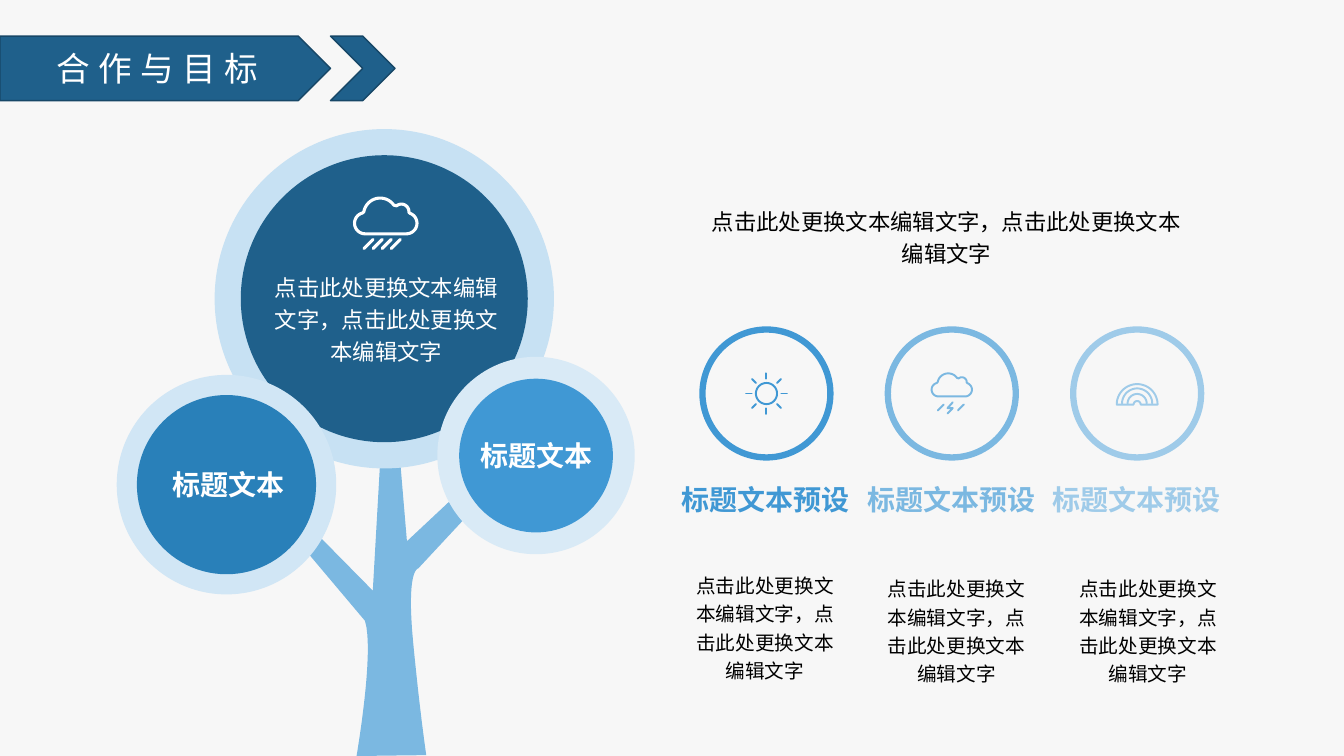
from math import cos, radians, sin

from pptx import Presentation
from pptx import util as u
from pptx.dml.color import RGBColor
from pptx.enum import shapes, text
from pptx.oxml.ns import qn

FONT = "Noto Sans CJK SC"
BACKGROUND = RGBColor(0xF7, 0xF7, 0xF7)
WHITE = RGBColor(0xFF, 0xFF, 0xFF)
BLACK = RGBColor(0, 0, 0)
NAVY = RGBColor(0x1F, 0x60, 0x8B)
NAVY_EDGE = RGBColor(0x17, 0x47, 0x67)
BLUE = RGBColor(0x29, 0x80, 0xB9)
AZURE = RGBColor(0x40, 0x98, 0xD4)
SKY = RGBColor(0x7B, 0xB8, 0xE1)
PALE_SKY = RGBColor(0x9F, 0xCB, 0xE9)
CROWN_RIM = RGBColor(0xC7, 0xE1, 0xF3)
LEFT_RIM = RGBColor(0xD1, 0xE6, 0xF5)
RIGHT_RIM = RGBColor(0xD9, 0xEA, 0xF6)
BODY = "点击此处更换文本编辑文字，点击此处更换文本编辑文字"


def paint(sp, fill=None, line=None, width=1):
    """Set the fill and outline of a shape and drop its shadow."""
    sp.shadow.inherit = False
    if fill is None:
        sp.fill.background()
    else:
        sp.fill.solid()
        sp.fill.fore_color.rgb = fill
    if line is None:
        sp.line.fill.background()
    else:
        sp.line.color.rgb = line
        sp.line.width = u.Pt(width)


def preset(s, kind, box, **look):
    """Add a painted preset shape in a box given in points."""
    sp = s.shapes.add_shape(kind, *(u.Pt(v) for v in box))
    paint(sp, **look)
    return sp


def write(sp, words, size=16, color=BLACK, bold=False, spacing=1.0, tracking=0, middle=True):
    """Fill a shape with one centred, formatted paragraph."""
    tf = sp.text_frame
    tf.word_wrap = True
    tf.auto_size = text.MSO_AUTO_SIZE.NONE
    tf.margin_left = tf.margin_right = tf.margin_top = tf.margin_bottom = 0
    tf.vertical_anchor = text.MSO_ANCHOR.MIDDLE if middle else text.MSO_ANCHOR.TOP
    p = tf.paragraphs[0]
    p.alignment = text.PP_ALIGN.CENTER
    p.line_spacing = spacing
    r = p.add_run()
    r.text = words
    r.font.size, r.font.bold, r.font.name = u.Pt(size), bold, FONT
    r.font.color.rgb = color
    props = r.font._element
    latin = props.find(qn("a:latin"))
    ea = latin.makeelement(qn("a:ea"), {"typeface": FONT})
    latin.addnext(ea)
    if tracking:
        props.set("spc", str(tracking * 100))


def label(s, box, words, **style):
    """Add a text box in a box given in points."""
    write(s.shapes.add_textbox(*(u.Pt(v) for v in box)), words, **style)


def outline(s, origin, contours, scale=1, **look):
    """Draw one freeform from contours measured from an origin."""
    x, y = origin
    builder = None
    for contour in contours:
        pts = [(u.Pt(x + a * scale), u.Pt(y + b * scale)) for a, b in contour]
        if builder is None:
            builder = s.shapes.build_freeform(*pts[0])
        else:
            builder.move_to(*pts[0])
        builder.add_line_segments(pts[1:], close=contour[0] == contour[-1])
    sp = builder.convert_to_shape()
    paint(sp, **look)
    if look.get("line") is not None:
        sp.line._get_or_add_ln().set("cap", "rnd")


def arc(cx, cy, radius, start, end, steps=16):
    """Return points along a circular arc, with angles in degrees."""
    angles = [radians(start + (end - start) * i / steps) for i in range(steps + 1)]
    return [(cx + radius * cos(a), cy + radius * sin(a)) for a in angles]


def bezier(a, b, c, d, steps=16):
    """Return points along a cubic curve."""
    pts = []
    for i in range(steps + 1):
        t = i / steps
        k = (1 - t) ** 3, 3 * t * (1 - t) ** 2, 3 * t * t * (1 - t), t ** 3
        pts.append(tuple(sum(w * q[n] for w, q in zip(k, (a, b, c, d))) for n in (0, 1)))
    return pts


def cloud(s, box, strokes, color, width):
    """Draw a cloud as wide as its box, with strokes falling below it."""
    x, y, w, h = box
    lobes = (arc(12, 26.5, 10.5, 90, 255) + arc(27, 18, 16.5, 190, 325)
             + arc(48, 15, 7.5, 230, 365) + arc(53, 26.5, 10.5, -70, 90))
    outline(s, (x, y), [lobes + lobes[:1]] + strokes, scale=w / 65, line=color, width=width)


def rain_cloud(s, box, color):
    """Draw a cloud with four slanted lines of rain."""
    rain = [[(11 + 9 * i, 51.5), (20 + 9 * i, 42.5)] for i in range(4)]
    cloud(s, box, rain, color, 2.2)


def storm_cloud(s, box, color):
    """Draw a cloud with a lightning bolt between two lines of rain."""
    bolt = [(34, 46), (26, 55), (34, 55), (26, 63)]
    rain = [[(x, 58.5), (x + 9, 49.5)] for x in (11, 42)]
    cloud(s, box, [bolt] + rain, color, 1.4)


def sun(s, box, color):
    """Draw a sun with eight rays."""
    x, y, w, h = box
    disc = arc(0, 0, w / 4, 0, 360, 48)
    turns = [radians(turn) for turn in range(0, 360, 45)]
    rays = [[(r * cos(a), r * sin(a)) for r in (0.35 * w, 0.48 * w)] for a in turns]
    outline(s, (x + w / 2, y + h / 2), [disc + disc[:1]] + rays, line=color, width=1.4)


def rainbow(s, box, color):
    """Draw a rainbow of concentric arches."""
    x, y, w, h = box
    rim = arc(0, 0, 20.3, 180, 360, 32) + arc(0, 0, 3.5, 360, 180)
    arches = [arc(0, -1, radius, 180, 360, 32) for radius in (9.5, 15)]
    outline(s, (x + w / 2, y + 0.76 * h), [rim + rim[:1]] + arches,
            scale=w / 42, line=color, width=1.4)


def banner(s, box):
    """Place the title on an arrow followed by a chevron."""
    x, y, w, h = box
    look = dict(fill=NAVY, line=NAVY_EDGE)
    arrow = preset(s, shapes.MSO_SHAPE.PENTAGON, (x, y, w - h, h), **look)
    preset(s, shapes.MSO_SHAPE.CHEVRON, (x + w - h, y, h, h), **look)
    title = s.shapes.title
    title.left, title.top, title.width, title.height = (
        u.Pt(v) for v in (x, y, w - 1.25 * h, h))
    write(title, "合作与目标", size=24, color=WHITE, tracking=6)
    arrow._element.getparent().append(title._element)


def tree(s, box):
    """Draw the trunk and its three round crowns."""
    x, y, w, h = box
    trunk = (bezier((51, 219.6), (51, 219.6), (64, 144.7), (57, 123))
             + [(0, 55.4), (9.4, 47.5), (62.6, 101.5), (68.4, 0), (81.4, 0),
                (87, 66.2), (133.9, 22.3), (143.3, 33.8)]
             + bezier((95, 85.7), (95, 85.7), (86.4, 85.7), (91.4, 138.2))
             + bezier((91.4, 138.2), (96.5, 190.8), (100.8, 219), (100.8, 219)))
    outline(s, (x + 120.3, y + 228.2), [trunk + trunk[:1]], fill=SKY)
    crowns = [(69.9, 0, 242.4, 18.7, CROWN_RIM, NAVY),
              (229, 162.7, 141, 15.6, RIGHT_RIM, AZURE),
              (0, 175.6, 156.8, 14.4, LEFT_RIM, BLUE)]
    for left, top, size, rim, rim_color, color in crowns:
        left, top, inner = x + left, y + top, size - 2 * rim
        preset(s, shapes.MSO_SHAPE.OVAL, (left, top, size, size), fill=rim_color)
        preset(s, shapes.MSO_SHAPE.OVAL, (left + rim, top + rim, inner, inner), fill=color)
    for left, top in ((16.6, 238.6), (236.8, 218.2)):
        label(s, (x + left, y + top, 126, 30), "标题文本", size=20, color=WHITE, bold=True)
    label(s, (x + 110.2, y + 77.3, 164.9, 113.8), BODY, color=WHITE, spacing=1.2)
    rain_cloud(s, (x + 168.8, y + 48.2, 46.8, 38.2), WHITE)


def cards(s, box):
    """Place three ringed icons with their headings and captions."""
    x, y, w, h = box
    size, icon_size, pitch, caption_pitch = 91.4, 30.2, 132.4, 136.8
    inset = (size - icon_size) / 2
    items = [(AZURE, sun, 0), (SKY, storm_cloud, 2.2), (PALE_SKY, rainbow, 2.2)]
    for i, (color, icon, drop) in enumerate(items):
        left = x + i * pitch
        preset(s, shapes.MSO_SHAPE.OVAL, (left, y, size, size), line=color, width=4.5)
        icon(s, (left + inset, y + inset, icon_size, icon_size), color)
        label(s, (left + (size - pitch) / 2 - 0.4, y + 109.6, pitch, 28), "标题文本预设",
              size=20, color=color, bold=True, middle=False)
        label(s, (x - 5.4 + i * caption_pitch, y + 171.4 + drop, 100.1, h - 171.4), BODY,
              size=14, spacing=1.2, middle=False)


def main():
    """Build the slide and save it."""
    prs = Presentation()
    prs.slide_width, prs.slide_height = u.Pt(960), u.Pt(540)
    s = prs.slides.add_slide(prs.slide_layouts[5])
    s.background.fill.solid()
    s.background.fill.fore_color.rgb = BACKGROUND
    banner(s, (0, 25.8, 282.2, 46.1))
    tree(s, (83.4, 92.2, 370, 448))
    label(s, (504.7, 144.7, 342.7, 44), BODY, spacing=1.2, middle=False)
    cards(s, (501.8, 235.4, 356, 262))
    prs.save("out.pptx")


if __name__ == "__main__":
    main()
